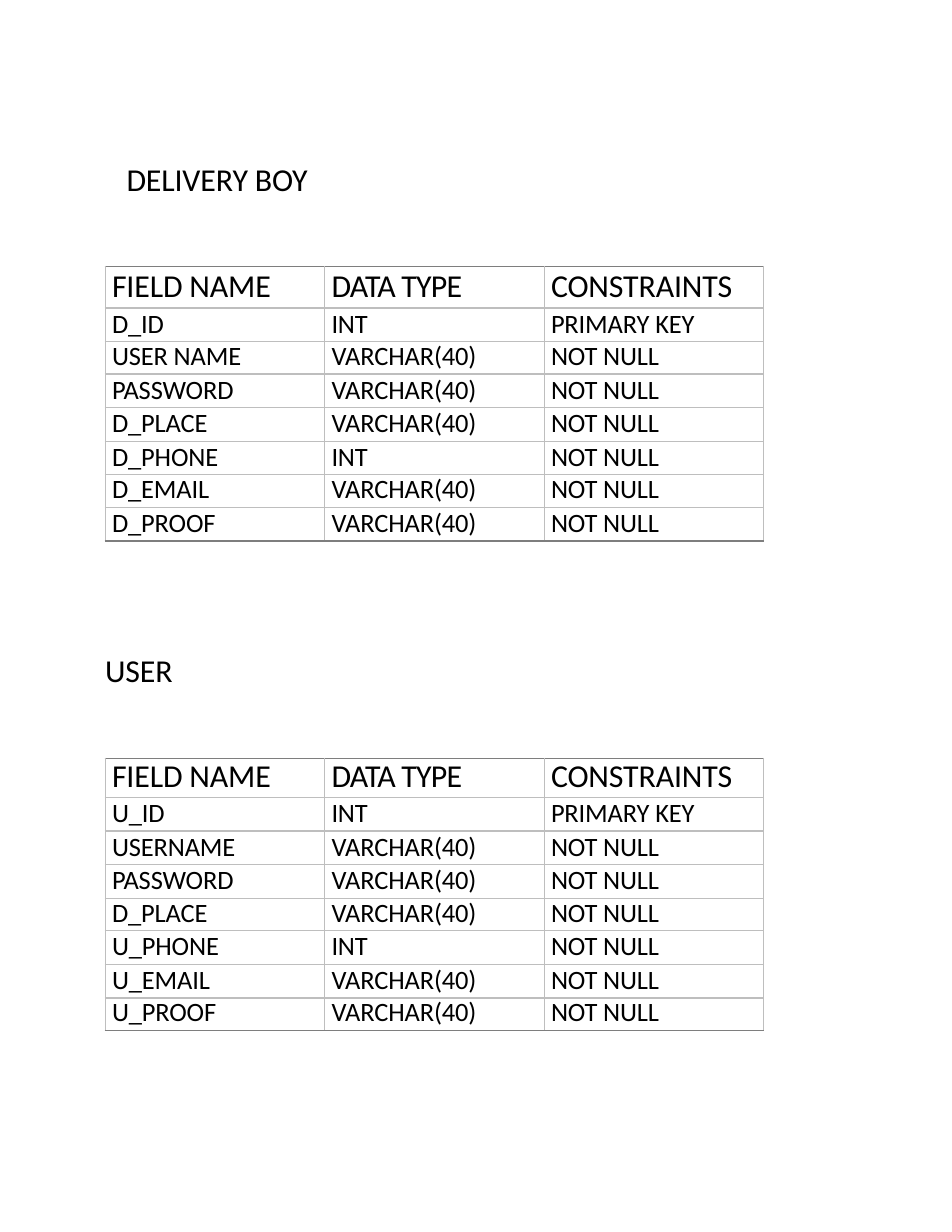
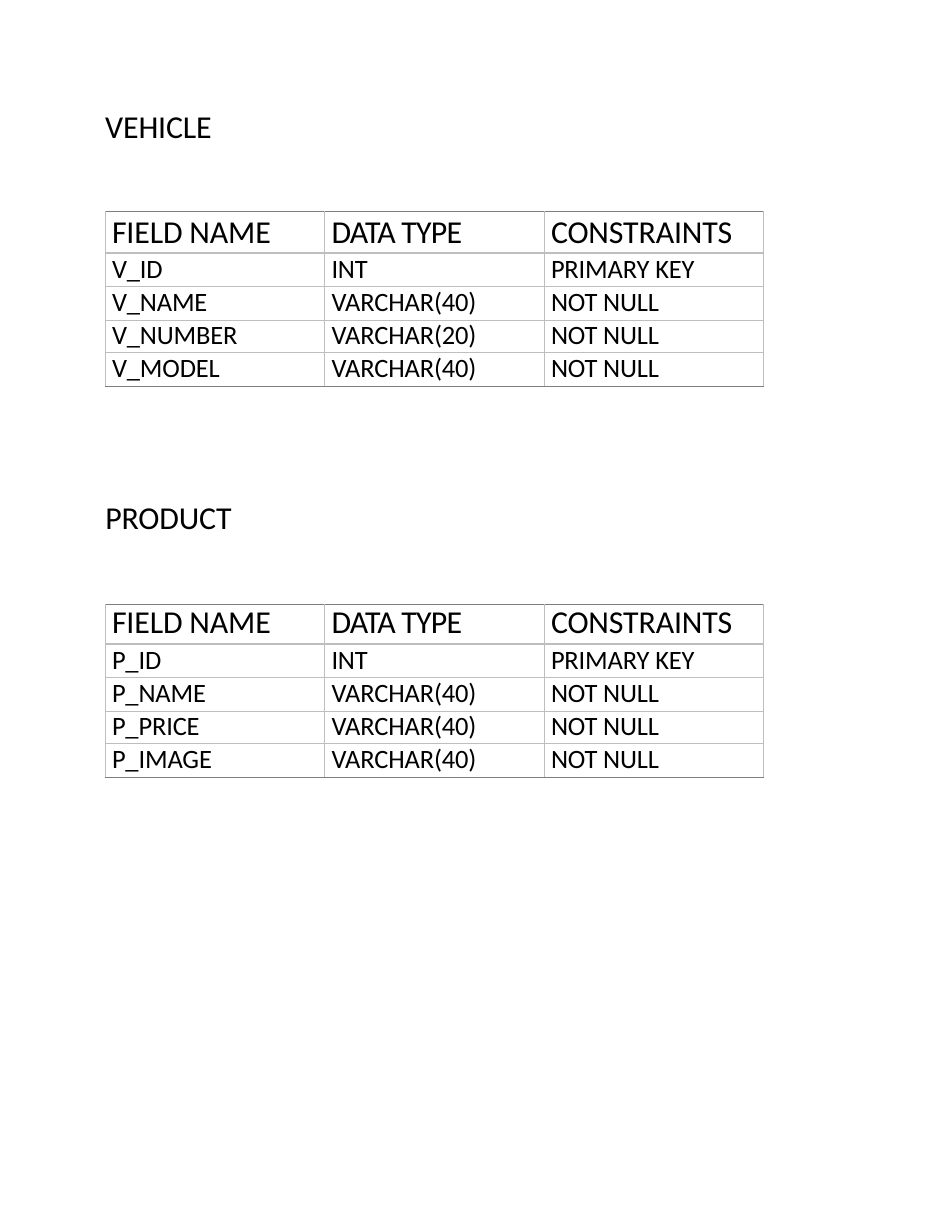
from lxml import etree
from pptx import Presentation
from pptx import util as u
from pptx.dml.color import RGBColor
from pptx.enum import text
from pptx.oxml.ns import qn

PX = u.Inches(1) // 100
COLORS = {"ink": "000000", "grid": "BEBEBE", "edge": "7E7E7E"}
FONT = "Calibri"
BIG, BODY = 20.5, 17
LEFT, COL_W = 94, 196
HEADER = ("FIELD NAME", "DATA TYPE", "CONSTRAINTS")
V40 = "VARCHAR(40)"

# Each section: caption, caption box (left, top, width), table top,
# header height, then fields as (name, type, row height).
SLIDES = [
    [("DELIVERY BOY", (112, 140, 168), 238, 37, [
        ("D_ID", "INT", 30), ("USER NAME", V40, 29), ("PASSWORD", V40, 30),
        ("D_PLACE", V40, 30), ("D_PHONE", "INT", 30), ("D_EMAIL", V40, 29),
        ("D_PROOF", V40, 30)]),
     ("USER", (93, 578, 64), 677, 35, [
         ("U_ID", "INT", 30), ("USERNAME", V40, 30), ("PASSWORD", V40, 30),
         ("D_PLACE", V40, 29), ("U_PHONE", "INT", 30), ("U_EMAIL", V40, 30),
         ("U_PROOF", V40, 29)])],
    [("VEHICLE", (93, 92, 100), 189, 37, [
        ("V_ID", "INT", 30), ("V_NAME", V40, 30),
        ("V_NUMBER", "VARCHAR(20)", 29), ("V_MODEL", V40, 30)]),
     ("PRODUCT", (93, 441, 118), 540, 35, [
         ("P_ID", "INT", 30), ("P_NAME", V40, 30), ("P_PRICE", V40, 29),
         ("P_IMAGE", V40, 30)])],
]


def put_text(tf, words, size=BODY, line=None, spc=-10):
    """Fill the first paragraph; line is in points, spc in 1/100 pt."""
    p = tf.paragraphs[0]
    if line:
        p.line_spacing = u.Pt(line)
    r = p.add_run()
    r.text = words
    r.font.name, r.font.size = FONT, u.Pt(size)
    r.font.color.rgb = RGBColor.from_string(COLORS["ink"])
    r._r.get_or_add_rPr().set("spc", str(spc))


def set_margins(box, left, top):
    box.margin_left, box.margin_top = left * PX, top * PX
    box.margin_right = box.margin_bottom = 0


def set_borders(cell, **sides):
    tc_pr = cell._tc.get_or_add_tcPr()
    for side in "LRTB":
        ln = etree.SubElement(tc_pr, qn(f"a:ln{side}"), w=str(u.Pt(1)))
        fill = etree.SubElement(ln, qn("a:solidFill"))
        etree.SubElement(fill, qn("a:srgbClr"),
                         val=COLORS[sides.get(side, "grid")])


class Deck:
    def __init__(self, width, height):
        self.prs = Presentation()
        self.prs.slide_width, self.prs.slide_height = width * PX, height * PX
        self.s = None

    def add_slide(self):
        self.s = self.prs.slides.add_slide(self.prs.slide_layouts[6])

    def caption(self, words, left, top, width):
        sp = self.s.shapes.add_textbox(left * PX, top * PX, width * PX, 37 * PX)
        tf = sp.text_frame
        tf.word_wrap = True
        tf.auto_size = text.MSO_AUTO_SIZE.SHAPE_TO_FIT_TEXT
        set_margins(tf, 1, 3)
        put_text(tf, words, size=BIG)

    def table(self, top, rows, heights):
        frame = self.s.shapes.add_table(
            len(rows), len(HEADER), LEFT * PX, top * PX,
            COL_W * len(HEADER) * PX, sum(heights) * PX)
        tbl = frame.table
        tbl.first_row = tbl.horz_banding = False
        for col in tbl.columns:
            col.width = COL_W * PX
        for i, (row, height) in enumerate(zip(rows, heights)):
            tbl.rows[i].height = height * PX
            for j, words in enumerate(row):
                cell = tbl.cell(i, j)
                set_margins(cell, 6, 0)
                put_text(cell.text_frame, words,
                         size=BODY if i else BIG,
                         line=round(height * 0.72 - 0.9, 1),
                         spc=-50 if words == "DATA TYPE" else -10)
                set_borders(cell, T="grid" if i else "edge",
                            B="edge" if i == len(rows) - 1 else "grid")
                cell.fill.background()

    def section(self, words, box, top, header_h, fields):
        self.caption(words, *box)
        rows = [HEADER] + [
            (name, kind, "NOT NULL" if i else "PRIMARY KEY")
            for i, (name, kind, _) in enumerate(fields)]
        self.table(top, rows, [header_h] + [f[2] for f in fields])


def main():
    deck = Deck(850, 1100)
    for sections in SLIDES:
        deck.add_slide()
        for section in sections:
            deck.section(*section)
    deck.prs.save("out.pptx")


if __name__ == "__main__":
    main()
